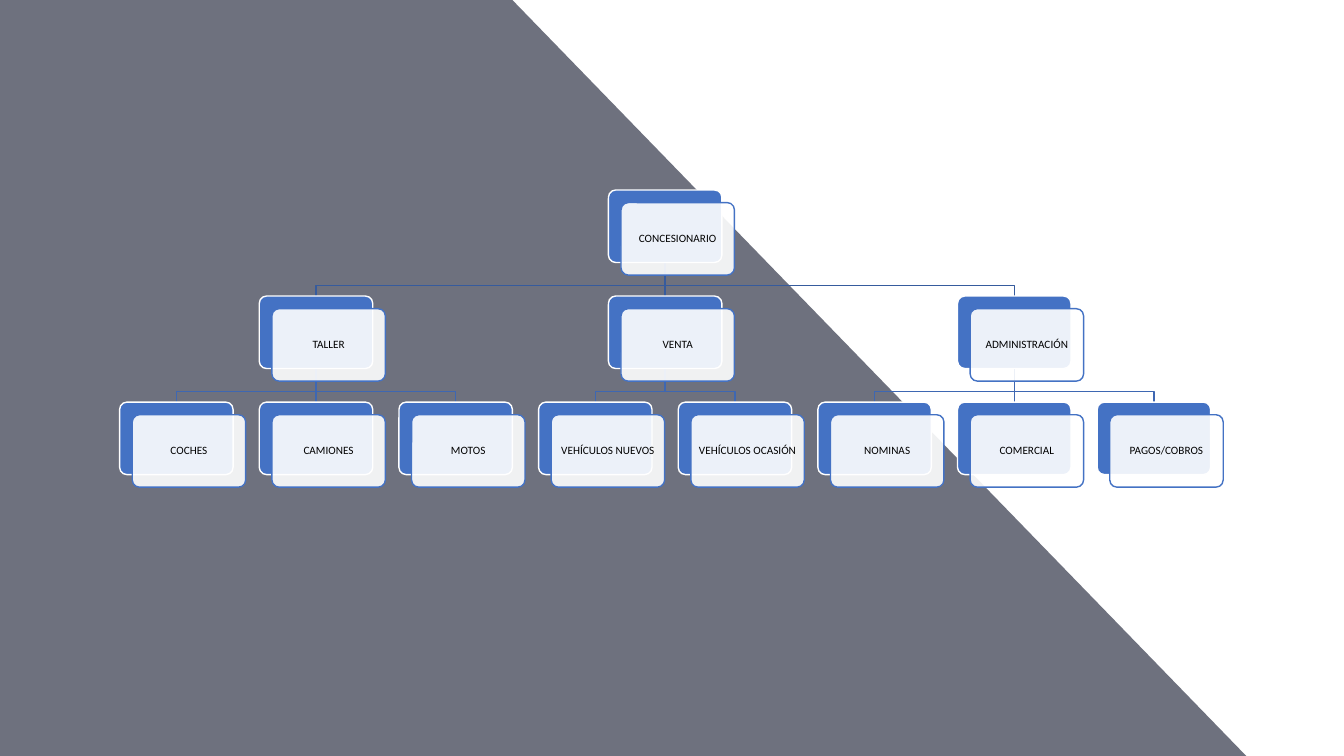
from lxml.etree import SubElement
from pptx import Presentation
from pptx.dml.color import RGBColor
from pptx.enum.shapes import MSO_CONNECTOR as CONN, MSO_SHAPE as SHAPE
from pptx.enum.text import MSO_ANCHOR as ANCHOR, PP_ALIGN as ALIGN
from pptx.oxml.ns import qn
from pptx.util import Pt

PX = 9525  # EMU per px, 96 px to the inch
COLORS = {
    "navy": "212539", "blue": "4472C4", "white": "FFFFFF", "black": "000000",
    "upper_link": "365B9D", "lower_link": "3E67B2",
}
ROOT = "CONCESIONARIO"
DEPARTMENTS = {
    "TALLER": ["COCHES", "CAMIONES", "MOTOS"],
    "VENTA": ["VEHÍCULOS NUEVOS", "VEHÍCULOS OCASIÓN"],
    "ADMINISTRACIÓN": ["NOMINAS", "COMERCIAL", "PAGOS/COBROS"],
}

# Card grid
LEFT, TOP = 114, 181
COLUMN_STEP, ROW_STEP = 133, 101
CARD_W, CARD_H = 108, 69
FRONT_OFFSET, BEND = 12, 22


def emu(px):
    return int(px * PX)


def rgb(name):
    return RGBColor.from_string(COLORS[name])


def fill_shape(s, color, opacity=100):
    s.shadow.inherit = False
    s.fill.solid()
    s.fill.fore_color.rgb = rgb(color)
    if opacity < 100:
        clr = s.fill._xPr.find(qn("a:solidFill"))[0]
        SubElement(clr, qn("a:alpha"), val=str(opacity * 1000))


def style_line(s, color):
    s.line.color.rgb = rgb(color)
    s.line.width = Pt(1)


def add_path(slide, points, close):
    points = [(emu(x), emu(y)) for x, y in points]
    builder = slide.shapes.build_freeform(*points[0], scale=1.0)
    builder.add_line_segments(points[1:], close=close)
    return builder.convert_to_shape()


def add_backdrop(slide):
    s = add_path(slide, [(488, 0), (0, 0), (0, 720), (1187, 720)], close=True)
    fill_shape(s, "navy", 65)
    s.line.fill.background()


def card_origin(column, level):
    return LEFT + COLUMN_STEP * column, TOP + ROW_STEP * level


def add_elbow(slide, parent, child, color):
    x1, y1 = card_origin(*parent)
    x2, y2 = card_origin(*child)
    x1, x2, y1 = x1 + CARD_W / 2, x2 + CARD_W / 2, y1 + CARD_H
    points = [(x1, y1), (x1, y1 + BEND), (x2, y1 + BEND), (x2, y2)]
    s = add_path(slide, points, close=False)
    s.shadow.inherit = False
    s.fill.background()
    style_line(s, color)


def add_straight(slide, color):
    s = slide.shapes.add_connector(CONN.STRAIGHT, 0, 0, 0, 0)
    SubElement(s._element.spPr, qn("a:effectLst"))
    style_line(s, color)
    return s


def add_panel(slide, x, y, fill, line, opacity=100):
    s = slide.shapes.add_shape(SHAPE.ROUNDED_RECTANGLE, emu(x), emu(y),
                               emu(CARD_W), emu(CARD_H))
    s.adjustments[0] = 0.1
    fill_shape(s, fill, opacity)
    style_line(s, line)
    return s


def add_card(slide, label, column, level):
    x, y = card_origin(column, level)
    back = add_panel(slide, x, y, "blue", "white")
    front = add_panel(slide, x + FRONT_OFFSET, y + FRONT_OFFSET,
                      "white", "blue", 90)
    tf = front.text_frame
    tf.word_wrap = True
    tf.vertical_anchor = ANCHOR.MIDDLE
    tf.margin_left = tf.margin_right = emu(3)
    tf.margin_top = tf.margin_bottom = emu(3)
    p = tf.paragraphs[0]
    p.alignment = ALIGN.CENTER
    p.line_spacing = 0.9
    r = p.add_run()
    r.text = label
    r.font.name = "Calibri"
    r.font.size = Pt(8)
    r.font.color.rgb = rgb("black")
    return back


def lay_out_chart():
    """Place each parent midway between its first and last child."""
    places, links, heads = {}, [], []
    column = 0
    for department, units in DEPARTMENTS.items():
        places[department] = (column + (len(units) - 1) / 2, 1)
        heads.append(places[department][0])
        links.append((ROOT, department))
        for unit in units:
            places[unit] = (column, 2)
            links.append((department, unit))
            column += 1
    places[ROOT] = ((heads[0] + heads[-1]) / 2, 0)
    return places, links


def add_org_chart(slide):
    places, links = lay_out_chart()

    # Links lie behind the cards
    straight = []
    for parent, child in links:
        color = "upper_link" if parent == ROOT else "lower_link"
        if places[parent][0] == places[child][0]:
            straight.append((add_straight(slide, color), parent, child))
        else:
            add_elbow(slide, places[parent], places[child], color)

    # Cards, then the joins of the straight links
    cards = {label: add_card(slide, label, *place)
             for label, place in places.items()}
    for connector, parent, child in straight:
        connector.begin_connect(cards[parent], 2)
        connector.end_connect(cards[child], 0)


def main():
    prs = Presentation()
    prs.slide_width, prs.slide_height = emu(1280), emu(720)
    slide = prs.slides.add_slide(prs.slide_layouts[6])
    add_backdrop(slide)
    add_org_chart(slide)
    prs.save("out.pptx")


if __name__ == "__main__":
    main()
